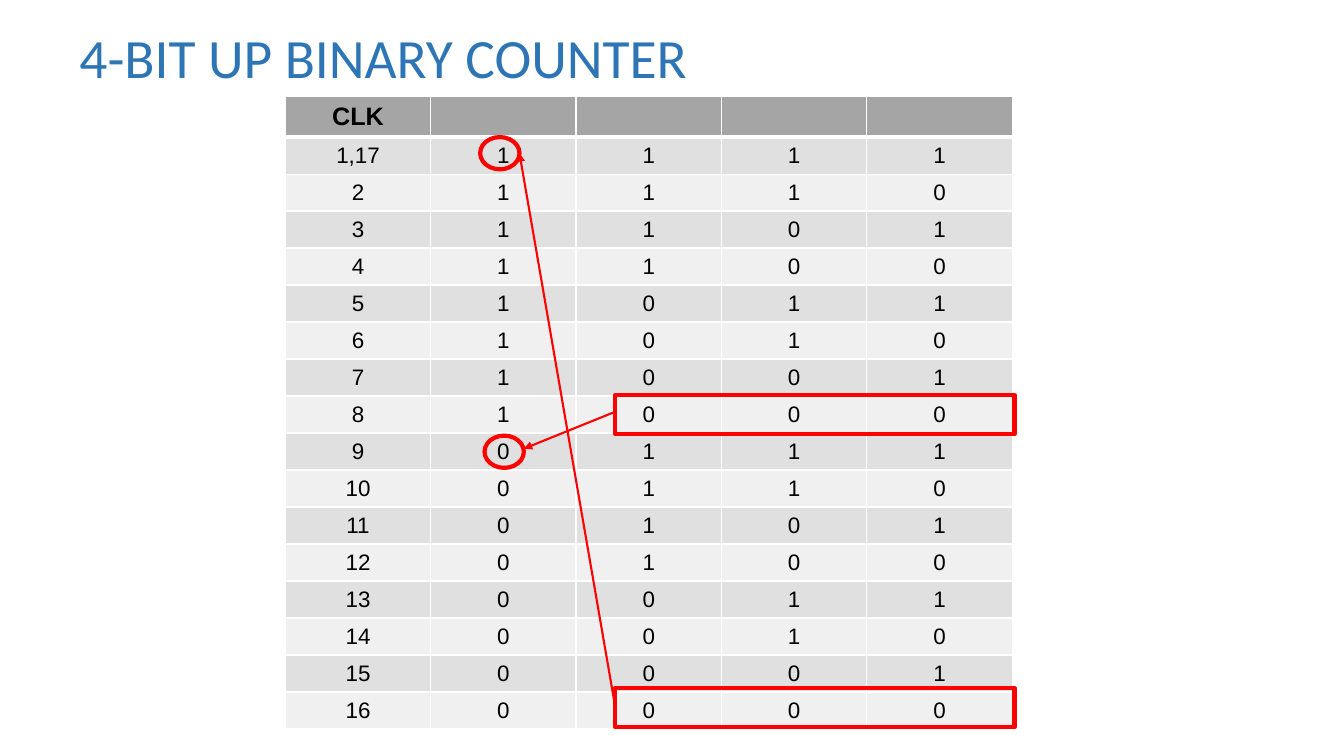
from dataclasses import dataclass

from lxml.etree import SubElement
from pptx import Presentation
from pptx.dml.color import RGBColor
from pptx.enum.shapes import MSO_CONNECTOR, MSO_SHAPE
from pptx.enum.text import MSO_ANCHOR, PP_ALIGN
from pptx.oxml import parse_xml
from pptx.oxml.ns import nsdecls, qn
from pptx.util import Inches, Pt


@dataclass(frozen=True)
class Theme:
    title_font: str = "Calibri"
    table_font: str = "Arial"
    title_size: float = 39.6
    header_size: float = 18
    cell_size: float = 16
    title_color: str = "2E75B5"
    text_color: str = "000000"
    header_fill: str = "A5A5A5"
    odd_fill: str = "E0E0E0"
    even_fill: str = "F0F0F0"
    border_color: str = "FFFFFF"
    mark_color: str = "FF0000"
    mark_width: float = 3
    arrow_width: float = 1.5


THEME = Theme()

# Table grid, in inches
BITS = 4
STATES = 2 ** BITS
COLUMNS = BITS + 1
TABLE_LEFT, TABLE_TOP = 2.83, 0.96
TABLE_WIDTH, TABLE_HEIGHT = 7.21, 6.25
HEADER_HEIGHT = 0.4
COLUMN_WIDTH = TABLE_WIDTH / COLUMNS
ROW_HEIGHT = (TABLE_HEIGHT - HEADER_HEIGHT) / STATES


def column_x(column):
    return Inches(TABLE_LEFT + column * COLUMN_WIDTH)


def row_y(row):
    """Top of a state row, counted from 0 below the header."""
    return Inches(TABLE_TOP + HEADER_HEIGHT + row * ROW_HEIGHT)


def write_text(frame, text, font, size, color, bold=False,
               align=PP_ALIGN.LEFT, line_spacing=None):
    paragraph = frame.paragraphs[0]
    paragraph.alignment = align
    paragraph.line_spacing = line_spacing
    run = paragraph.add_run()
    run.text = text
    run.font.name = font
    run.font.size = Pt(size)
    run.font.bold = bold
    run.font.color.rgb = RGBColor.from_string(color)


def add_title(slide, text):
    box = slide.shapes.add_textbox(Inches(0.69), Inches(0.24), Inches(11.5), Inches(0.72))
    frame = box.text_frame
    frame.word_wrap = True
    frame.vertical_anchor = MSO_ANCHOR.MIDDLE
    write_text(frame, text, font=THEME.title_font, size=THEME.title_size,
               color=THEME.title_color, line_spacing=0.9)


def set_borders(cell, top=1, bottom=1):
    properties = cell._tc.get_or_add_tcPr()
    widths = {"lnL": 1, "lnR": 1, "lnT": top, "lnB": bottom}
    for index, (side, width) in enumerate(widths.items()):
        properties.insert(index, parse_xml(
            f'<a:{side} {nsdecls("a")} w="{Pt(width)}"><a:solidFill>'
            f'<a:srgbClr val="{THEME.border_color}"/></a:solidFill></a:{side}>'))


def format_cell(cell, text, fill, size, bold=False, top=1, bottom=1):
    cell.vertical_anchor = MSO_ANCHOR.MIDDLE
    cell.fill.solid()
    cell.fill.fore_color.rgb = RGBColor.from_string(fill)
    set_borders(cell, top, bottom)
    if text:
        write_text(cell.text_frame, text, font=THEME.table_font, size=size,
                   color=THEME.text_color, bold=bold, align=PP_ALIGN.CENTER)


def add_state_table(slide):
    table = slide.shapes.add_table(
        STATES + 1, COLUMNS, Inches(TABLE_LEFT), Inches(TABLE_TOP),
        Inches(TABLE_WIDTH), Inches(TABLE_HEIGHT)).table
    table.horz_banding = False
    for column in table.columns:
        column.width = Inches(COLUMN_WIDTH)
    for index, row in enumerate(table.rows):
        row.height = Inches(ROW_HEIGHT if index else HEADER_HEIGHT)

    # Header row
    for column in range(COLUMNS):
        format_cell(table.cell(0, column), "" if column else "CLK", THEME.header_fill,
                    THEME.header_size, bold=True, bottom=3)

    # Each clock pulse with its bits, from all ones to all zeros
    for clock in range(1, STATES + 1):
        label = f"1,{STATES + 1}" if clock == 1 else str(clock)
        fill = THEME.odd_fill if clock % 2 else THEME.even_fill
        for column, text in enumerate([label, *f"{STATES - clock:0{BITS}b}"]):
            format_cell(table.cell(clock, column), text, fill, THEME.cell_size,
                        top=3 if clock == 1 else 1)


def add_mark(slide, kind, column, row, width, height):
    shape = slide.shapes.add_shape(kind, column_x(column), row_y(row),
                                   Inches(width), Inches(height))
    shape.shadow.inherit = False
    shape.fill.background()
    shape.line.color.rgb = RGBColor.from_string(THEME.mark_color)
    shape.line.width = Pt(THEME.mark_width)
    return shape


def add_ring(slide, column, row):
    return add_mark(slide, MSO_SHAPE.OVAL, column, row, 0.39, 0.32)


def add_zero_box(slide, row):
    return add_mark(slide, MSO_SHAPE.RECTANGLE, 2.27, row, 3.96, 0.39)


def add_arrow(slide, box, ring, lift=0):
    """Arrow from the left middle of a box to the right middle of a ring."""
    connector = slide.shapes.add_connector(
        MSO_CONNECTOR.STRAIGHT,
        box.left, box.top + box.height // 2 - Inches(lift),
        ring.left + ring.width, ring.top + ring.height // 2 - Inches(lift))
    connector.line.color.rgb = RGBColor.from_string(THEME.mark_color)
    connector.line.width = Pt(THEME.arrow_width)
    SubElement(connector.line._get_or_add_ln(), qn("a:tailEnd"), type="triangle")
    SubElement(connector._element.spPr, qn("a:effectLst"))


def main():
    presentation = Presentation()
    presentation.slide_width = Inches(13.33)
    presentation.slide_height = Inches(7.5)
    slide = presentation.slides.add_slide(presentation.slide_layouts[6])

    add_title(slide, "4-BIT UP BINARY COUNTER")
    add_state_table(slide)

    # Top bit falls after pulse 8
    add_arrow(slide, add_zero_box(slide, 7), add_ring(slide, 1.37, 8.1), lift=0.03)

    # Top bit returns to one after pulse 16
    add_arrow(slide, add_zero_box(slide, 14.95), add_ring(slide, 1.34, 0))

    presentation.save("out.pptx")


if __name__ == "__main__":
    main()
